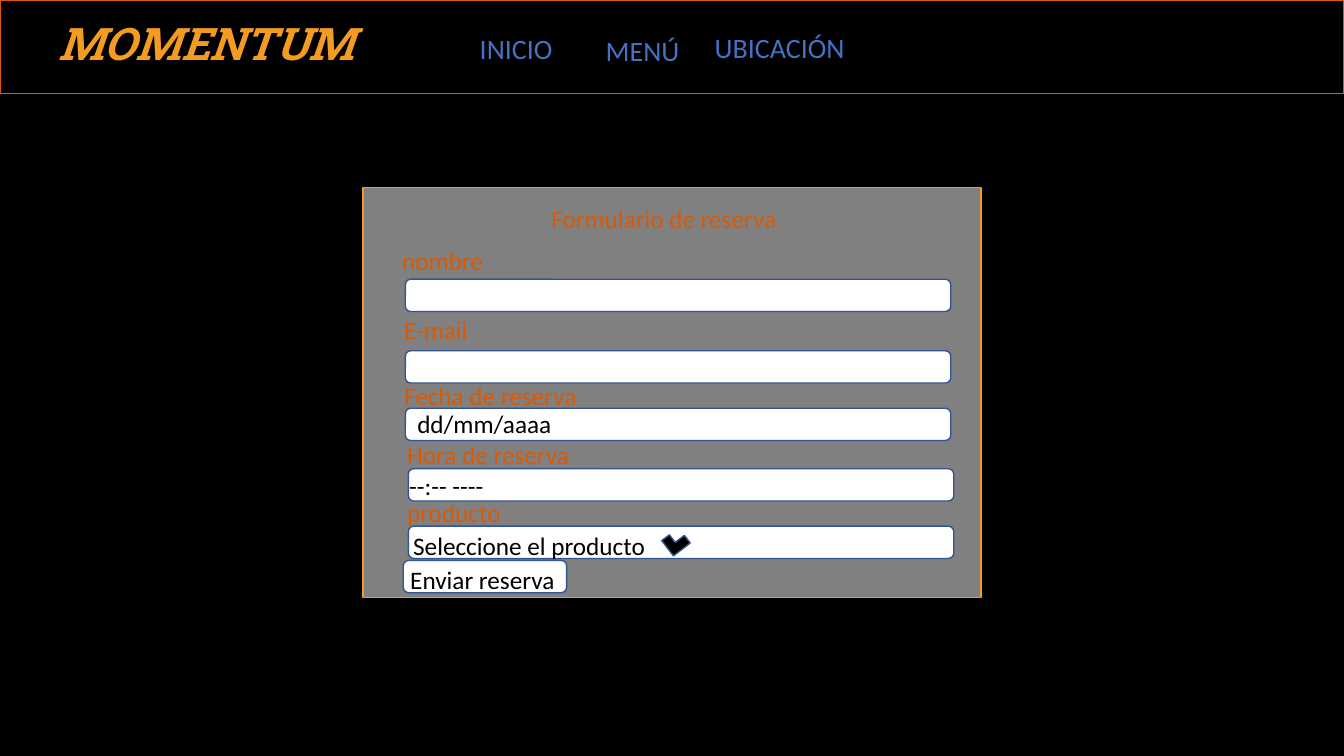
from dataclasses import dataclass

from pptx import Presentation
from pptx.dml.color import RGBColor as RGB
from pptx.enum.shapes import MSO_SHAPE as Kind
from pptx.util import Inches, Pt


@dataclass(frozen=True)
class Theme:
    black: str = "000000"
    white: str = "FFFFFF"
    gray: str = "808080"
    gold: str = "F49C21"
    rust: str = "DA5A04"
    blue: str = "4472C4"
    navy: str = "325491"
    font: str = "Calibri"
    serif: str = "Roboto Slab"
    title: int = 32
    menu: int = 20
    body: int = 18


theme = Theme()
deck = Presentation()
deck.slide_width, deck.slide_height = Inches(13.33), Inches(7.5)
slide = deck.slides.add_slide(deck.slide_layouts[6])
back = slide.background.fill
back.solid()
back.fore_color.rgb = RGB.from_string(theme.black)


def draw(x, y, w, h, kind=Kind.ROUNDED_RECTANGLE, fill=theme.white, line=theme.navy):
    """Add a filled, outlined shape; by default a white form field."""
    shape = slide.shapes.add_shape(kind, Inches(x), Inches(y), Inches(w), Inches(h))
    shape.shadow.inherit = False
    shape.fill.solid()
    shape.fill.fore_color.rgb = RGB.from_string(fill)
    shape.line.color.rgb = RGB.from_string(line)
    shape.line.width = Pt(1)
    return shape


def write(text, x, y, w, h=0.4, size=theme.body, color=theme.rust,
          font=theme.font, strong=False):
    """Add one line of text; strong means bold italic."""
    box = slide.shapes.add_textbox(Inches(x), Inches(y), Inches(w), Inches(h))
    box.text_frame.word_wrap = False
    run = box.text_frame.paragraphs[0].add_run()
    run.text = text
    run.font.name = font
    run.font.size = Pt(size)
    run.font.bold = run.font.italic = strong
    run.font.color.rgb = RGB.from_string(color)


# Panel and header
draw(3.6, 1.86, 6.13, 4.07, Kind.RECTANGLE, theme.gray, theme.gold)
draw(0, 0, 13.33, 0.93, Kind.RECTANGLE, theme.black, theme.rust)
write("MOMENTUM", 0.48, 0.11, 3.54, 0.64, theme.title, theme.gold, theme.serif, True)
for text, x, y, w in [("INICIO", 4.66, 0.26, 0.93),
                      ("MENÚ", 5.91, 0.28, 0.94),
                      ("UBICACIÓN", 6.99, 0.25, 1.5)]:
    write(text, x, y, w, 0.44, theme.menu, theme.blue)

# Form: each label, then its field
write("Formulario de reserva", 5.37, 1.97, 2.46)
for label, x, y, w, left, top in [
    ("nombre", 3.89, 2.38, 1.01, 4.02, 2.77),
    ("E-mail", 3.91, 3.07, 0.84, 4.02, 3.48),
    ("Fecha de reserva", 3.91, 3.72, 1.93, 4.02, 4.05),
    ("Hora de reserva", 3.94, 4.31, 1.83, 4.05, 4.65),
    ("producto", 3.94, 4.88, 1.14, 4.05, 5.22),
]:
    write(label, x, y, w)
    draw(left, top, 5.41, 0.32)

# Button, field hints and drop-down mark
draw(4, 5.56, 1.62, 0.32)
for text, x, y, w in [("dd/mm/aaaa", 4.04, 4, 1.55),
                      ("--:-- ----", 3.96, 4.62, 0.95),
                      ("Seleccione el producto", 4, 5.21, 2.53),
                      ("Enviar reserva", 3.97, 5.55, 1.65)]:
    write(text, x, y, w, color=theme.black)
mark = draw(6.6, 5.28, 0.21, 0.19, Kind.CORNER, theme.black)
mark.rotation = 322.6

deck.save("out.pptx")
